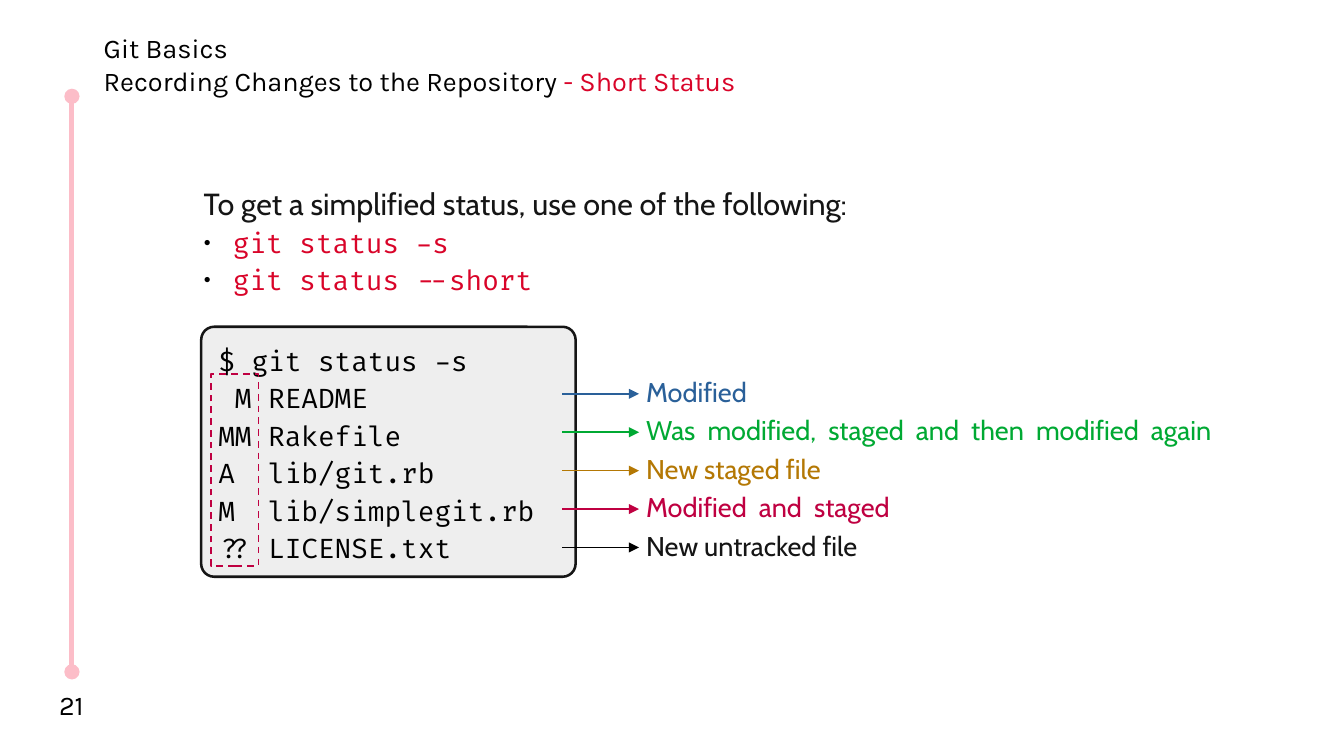
from lxml import etree
from pptx import Presentation
from pptx.dml.color import RGBColor
from pptx.enum.dml import MSO_LINE
from pptx.enum.shapes import MSO_CONNECTOR, MSO_SHAPE
from pptx.enum.text import MSO_ANCHOR, MSO_AUTO_SIZE, PP_ALIGN
from pptx.oxml.ns import qn
from pptx.util import Inches, Pt

LEFT, CENTER, JUSTIFY = PP_ALIGN.LEFT, PP_ALIGN.CENTER, PP_ALIGN.JUSTIFY
TOP, MIDDLE = MSO_ANCHOR.TOP, MSO_ANCHOR.MIDDLE
BLACK, INK, RED, WINE = "000000", "151515", "D90429", "BF0041"


def tint(color, code):
    color.rgb = RGBColor.from_string(code)


def write(box, lines, font="Cabin", size=16, color=BLACK, align=LEFT,
          anchor=TOP, space=None, wrap=True):
    """Fill a box; each line is a string or a list of (text, color) runs."""
    frame = box.text_frame
    frame.auto_size = MSO_AUTO_SIZE.NONE
    frame.word_wrap = wrap
    frame.vertical_anchor = anchor
    for i, line in enumerate(lines):
        para = frame.add_paragraph() if i else frame.paragraphs[0]
        para.alignment = align
        para.space_before = Pt(0)
        para.line_spacing = space
        for text, code in [(line, color)] if isinstance(line, str) else line:
            run = para.add_run()
            run.text = text
            run.font.name = font
            run.font.size = Pt(size)
            tint(run.font.color, code)


deck = Presentation()
deck.slide_width, deck.slide_height = Inches(11.02), Inches(6.2)
slide = deck.slides.add_slide(deck.slide_layouts[1])
shapes = slide.shapes

# Title and page number
title, body = slide.placeholders
title.left, title.top = Inches(0.75), Inches(0.21)
title.width, title.height = Inches(9.29), Inches(0.7)
write(title, ["Git Basics", [("Recording Changes to the Repository", BLACK),
                             (" - Short Status", RED)]], font="Karla")
page = shapes.add_textbox(Inches(0.31), Inches(5.6), Inches(0.55), Inches(0.4))
write(page, ["21"], font="Karla", align=CENTER)

# Commands
body.left, body.top = Inches(1.57), Inches(1.42)
body.width, body.height = Inches(7.95), Inches(1.18)
write(body, ["To get a simplified status, use one of the following:",
             "git status -s", "git status --short"],
      color=INK, align=JUSTIFY, space=1.15)
lead, *items = body.text_frame.paragraphs
lead.runs[0].font.size = Pt(18)
props = lead._p.get_or_add_pPr()
props.set("marL", "0")
props.set("indent", "0")
etree.SubElement(props, qn("a:buNone"))
for item in items:
    props = item._p.get_or_add_pPr()
    props.set("marL", str(Inches(0.24)))
    props.set("indent", str(Inches(-0.24)))
    fill = etree.SubElement(props, qn("a:buClr"))
    etree.SubElement(fill, qn("a:srgbClr"), val=BLACK)
    etree.SubElement(props, qn("a:buSzPct"), val="45000")
    etree.SubElement(props, qn("a:buChar"), char="●")
    item.runs[0].font.name = "Fira Code"
    tint(item.runs[0].font.color, RED)

# Terminal panel
panel = shapes.add_shape(MSO_SHAPE.ROUNDED_RECTANGLE, Inches(1.65),
                         Inches(2.68), Inches(3.07), Inches(2.05))
panel.adjustments[0] = 0.052
panel.shadow.inherit = False
panel.fill.solid()
tint(panel.fill.fore_color, "EEEEEE")
tint(panel.line.color, INK)
panel.line.width = Pt(1.5)
frame = panel.text_frame
frame.margin_left = frame.margin_right = Inches(0.11)
frame.margin_top = frame.margin_bottom = Inches(0.06)
write(panel, ["$ git status -s", " M README", "MM Rakefile", "A  lib/git.rb",
              "M  lib/simplegit.rb", "?? LICENSE.txt"],
      font="Fira Code", anchor=MIDDLE, space=1.15, wrap=False)

# Meaning of each status, with its arrow
notes = [
    ("Modified", "2A6099", "2A6099"),
    ("Was  modified,  staged  and  then  modified  again", "00A933", "00A933"),
    ("New staged file", "B47804", "B47804"),
    ("Modified  and  staged", WINE, WINE),
    ("New untracked file", INK, BLACK),
]
links = [(0.59, 0.79, 0.59, 5.51, "FCBDC8", 3, "oval", "oval")]
for i, (text, color, stroke) in enumerate(notes):
    y = 3.23 + i * 0.315
    links.append((4.61, y, 5.24, y, stroke, 1, "none", "triangle"))
    note = shapes.add_textbox(Inches(5.2), Inches(y - 0.2),
                              Inches(5.13), Inches(0.4))
    write(note, [text], color=color)

for x1, y1, x2, y2, color, width, head, tail in links:
    link = shapes.add_connector(MSO_CONNECTOR.STRAIGHT, Inches(x1), Inches(y1),
                                Inches(x2), Inches(y2))
    tint(link.line.color, color)
    link.line.width = Pt(width)
    stroke = link.line._get_or_add_ln()
    etree.SubElement(stroke, qn("a:headEnd"), type=head)
    etree.SubElement(stroke, qn("a:tailEnd"), type=tail)
    etree.SubElement(link._element.spPr, qn("a:effectLst"))

# Dashed frame around the status codes
codes = shapes.add_shape(MSO_SHAPE.RECTANGLE, Inches(1.73), Inches(3.07),
                         Inches(0.39), Inches(1.57))
codes.shadow.inherit = False
codes.fill.background()
tint(codes.line.color, WINE)
codes.line.width = Pt(1)
codes.line.dash_style = MSO_LINE.DASH

deck.save("out.pptx")
